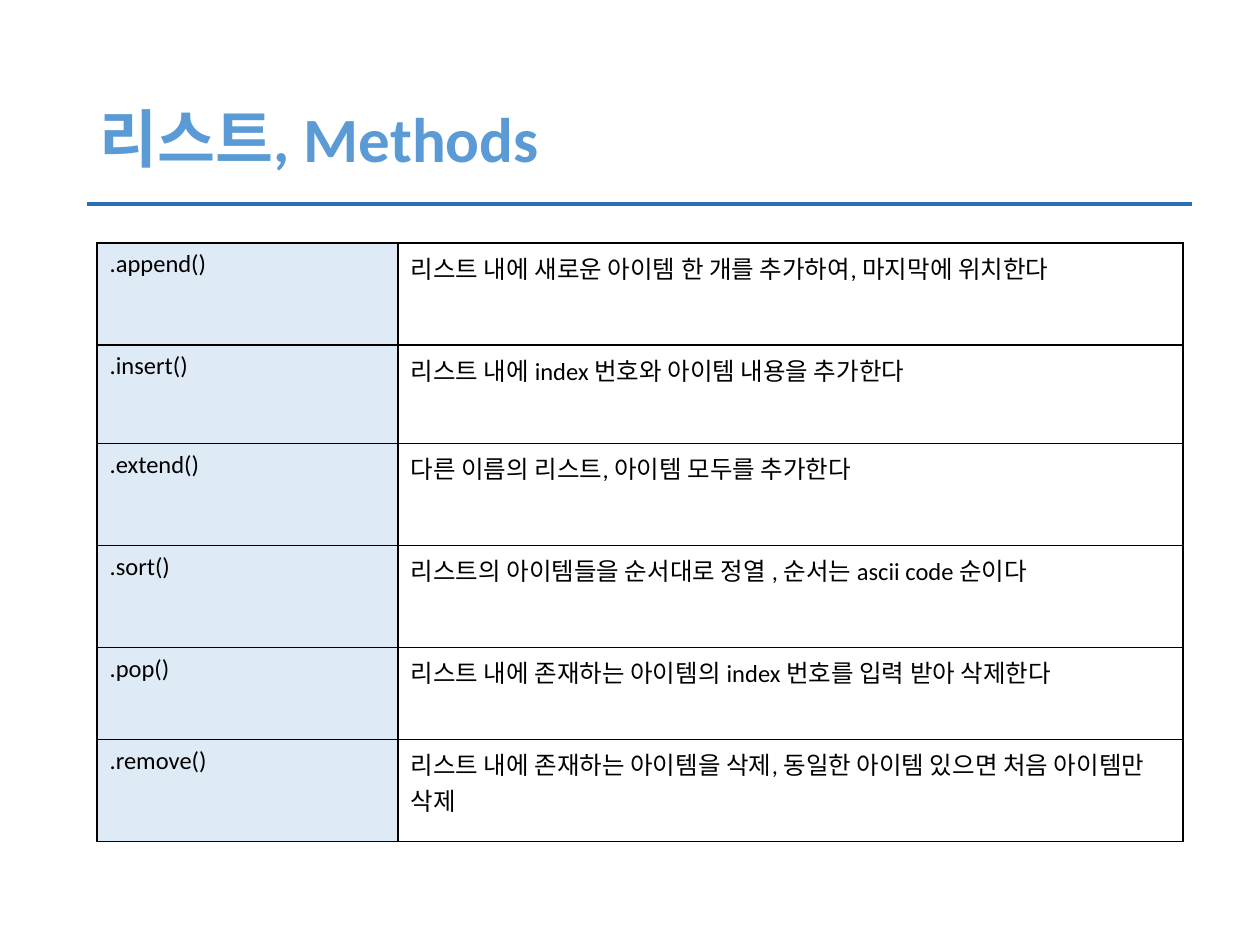
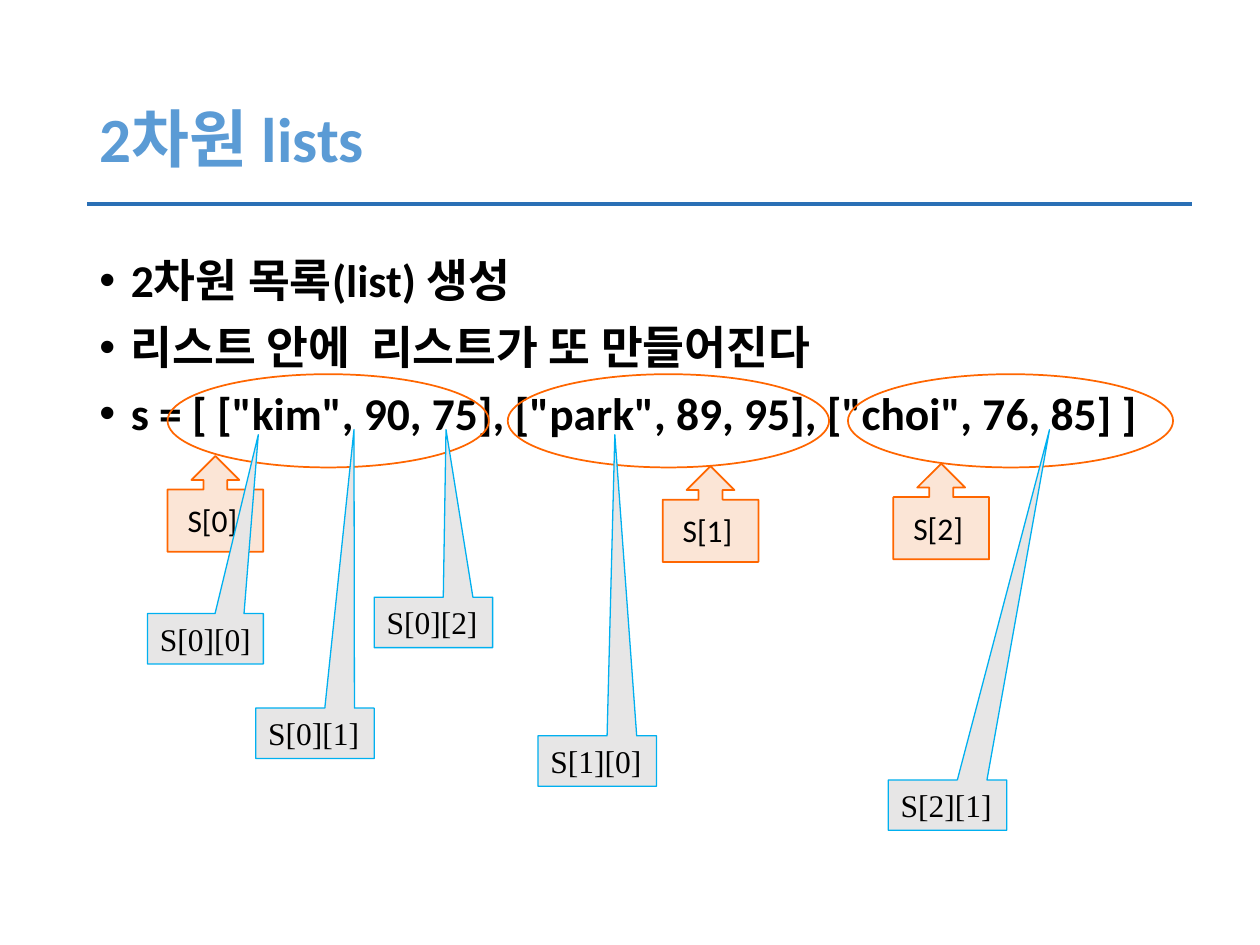
from lxml import etree
from pptx import Presentation
from pptx.dml.color import RGBColor
from pptx.enum.shapes import MSO_CONNECTOR, MSO_SHAPE
from pptx.enum.text import MSO_ANCHOR, MSO_AUTO_SIZE, PP_ALIGN
from pptx.oxml.ns import qn
from pptx.util import Inches, Pt

BLACK = RGBColor(0x00, 0x00, 0x00)
TITLE_BLUE = RGBColor(0x5B, 0x9B, 0xD5)
RULE_BLUE = RGBColor(0x2A, 0x6F, 0xB5)
PALE_BLUE = RGBColor(0xDE, 0xEB, 0xF7)
ORANGE = RGBColor(0xFF, 0x66, 0x00)
PEACH = RGBColor(0xFB, 0xE5, 0xD6)
GREY = RGBColor(0xE7, 0xE6, 0xE6)
SKY = RGBColor(0x00, 0xB0, 0xF0)

METHODS = [
    (".append()", "리스트 내에 새로운 아이템 한 개를 추가하여, 마지막에 위치한다", 0.81),
    (".insert()", "리스트 내에 index 번호와 아이템 내용을 추가한다", 0.78),
    (".extend()", "다른 이름의 리스트, 아이템 모두를 추가한다", 0.81),
    (".sort()", "리스트의 아이템들을 순서대로 정열 , 순서는 ascii code 순이다", 0.81),
    (".pop()", "리스트 내에 존재하는 아이템의 index 번호를 입력 받아 삭제한다", 0.73),
    (".remove()", "리스트 내에 존재하는 아이템을 삭제, 동일한 아이템 있으면 처음 아이템만 삭제", 0.81),
]
BULLETS = [
    "2차원 목록(list) 생성",
    "리스트 안에  리스트가 또 만들어진다",
    's = [ ["kim", 90, 75], ["park", 89, 95], ["choi", 76, 85] ]',
]
ROW_OVALS = [(1.33, 2.55), (4.03, 2.55), (6.73, 2.58)]
# label, left, top, fill behind the label
ROW_ARROWS = [
    ("S[0]", 1.33, 3.62, None),
    ("S[1]", 5.26, 3.70, PEACH),
    ("S[2]", 7.09, 3.68, None),
]
# label, left, top, width, point of the tip
ITEM_CALLOUTS = [
    ("S[0][0]", 1.17, 4.87, 0.92, (2.05, 3.45)),
    ("S[0][1]", 2.03, 5.62, 0.94, (2.81, 3.41)),
    ("S[0][2]", 2.97, 4.74, 0.94, (3.54, 3.41)),
    ("S[1][0]", 4.27, 5.84, 0.94, (4.88, 3.45)),
    ("S[2][1]", 7.05, 6.19, 0.94, (8.33, 3.41)),
]


def write(para, text, size=18, font="Calibri", color=BLACK, bold=False,
          line_spacing=None, space_before=None):
    para.alignment = PP_ALIGN.LEFT
    if line_spacing is not None:
        para.line_spacing = line_spacing
    if space_before is not None:
        para.space_before = Pt(space_before)
    span = para.add_run()
    span.text = text
    span.font.size = Pt(size)
    span.font.name = font
    span.font.color.rgb = color
    span.font.bold = bold


def add_bullet(para, indent):
    props = para._p.get_or_add_pPr()
    props.set("marL", str(indent))
    props.set("indent", str(-indent))
    etree.SubElement(props, qn("a:buFont"), typeface="Arial")
    etree.SubElement(props, qn("a:buChar"), char="•")


def add_borders(cell, width=Pt(1), color=BLACK):
    """Must run before the cell is filled, as borders come first in its XML."""
    props = cell._tc.get_or_add_tcPr()
    for side in ("a:lnL", "a:lnR", "a:lnT", "a:lnB"):
        border = etree.SubElement(props, qn(side), w=str(width))
        fill = etree.SubElement(border, qn("a:solidFill"))
        etree.SubElement(fill, qn("a:srgbClr"), val=str(color))


class SlideWriter:
    def __init__(self, deck):
        self.deck = deck
        self.page = None

    def start(self, title):
        """Add a page with the shared title and the rule below it."""
        self.page = self.deck.slides.add_slide(self.deck.slide_layouts[5])
        self.rule(9.46, 0.69, 1.62)
        box = self.page.shapes.title
        box.left, box.top = Inches(0.69), Inches(0.4)
        box.width, box.height = Inches(8.62), Inches(1.45)
        box.text_frame.vertical_anchor = MSO_ANCHOR.MIDDLE
        write(box.text_frame.paragraphs[0], title, size=36, color=TITLE_BLUE,
              bold=True, line_spacing=0.9)

    def rule(self, start, end, top):
        line = self.page.shapes.add_connector(
            MSO_CONNECTOR.STRAIGHT, Inches(start), Inches(top), Inches(end), Inches(top))
        line.line.color.rgb = RULE_BLUE
        line.line.width = Pt(2.25)
        etree.SubElement(line._element.spPr, qn("a:effectLst"))

    def table(self, rows, left, top, widths):
        heights = [height for *_, height in rows]
        table = self.page.shapes.add_table(
            len(rows), len(widths), Inches(left), Inches(top),
            Inches(sum(widths)), Inches(sum(heights))).table
        table.first_row = table.horz_banding = False
        for column, width in zip(table.columns, widths):
            column.width = Inches(width)
        for row, (name, meaning, height) in zip(table.rows, rows):
            row.height = Inches(height)
            for cell, text, fill in zip(row.cells, (name, meaning), (PALE_BLUE, None)):
                add_borders(cell)
                self.paint(cell.fill, fill)
                write(cell.text_frame.paragraphs[0], text, size=14)

    def bullets(self, texts, left, top, width, height):
        box = self.page.shapes.add_textbox(
            Inches(left), Inches(top), Inches(width), Inches(height))
        frame = box.text_frame
        frame.word_wrap = True
        for index, text in enumerate(texts):
            para = frame.add_paragraph() if index else frame.paragraphs[0]
            write(para, text, size=26, bold=True, line_spacing=0.9, space_before=10)
            add_bullet(para, Inches(0.25))

    def shape(self, kind, left, top, width, height, fill=None, line=None, weight=1):
        shape = self.page.shapes.add_shape(
            kind, Inches(left), Inches(top), Inches(width), Inches(height))
        shape.shadow.inherit = False
        self.paint(shape.fill, fill)
        self.paint(shape.line.fill, line)
        if line is not None:
            shape.line.width = Pt(weight)
        return shape

    def label(self, shape, text, wrap=True, **style):
        frame = shape.text_frame
        frame.word_wrap = wrap
        frame.auto_size = MSO_AUTO_SIZE.SHAPE_TO_FIT_TEXT
        frame.vertical_anchor = MSO_ANCHOR.TOP
        write(frame.paragraphs[0], text, **style)

    def row_arrow(self, text, left, top, label_fill, size=0.76):
        self.shape(MSO_SHAPE.UP_ARROW_CALLOUT, left, top, size, size, PEACH, ORANGE)
        box = self.shape(MSO_SHAPE.RECTANGLE, left + 0.06, top + 0.31, 0.64, 0.4, label_fill)
        self.label(box, text, wrap=False)

    def item_callout(self, text, left, top, width, tip, height=0.4):
        box = self.shape(MSO_SHAPE.RECTANGULAR_CALLOUT, left, top, width, height,
                         GREY, SKY, 0.75)
        box.adjustments[0] = (tip[0] - left) / width - 0.5
        box.adjustments[1] = (tip[1] - top) / height - 0.5
        self.label(box, text, font="Times New Roman")

    @staticmethod
    def paint(fill, color):
        if color is None:
            fill.background()
        else:
            fill.solid()
            fill.fore_color.rgb = color


def main():
    deck = Presentation()
    deck.slide_width, deck.slide_height = Inches(10), Inches(7.5)
    writer = SlideWriter(deck)

    writer.start("리스트, Methods")
    writer.table(METHODS, 0.77, 1.93, (2.39, 6.23))

    writer.start("2차원 lists")
    writer.bullets(BULLETS, 0.69, 2, 8.62, 4.76)
    for left, width in ROW_OVALS:
        writer.shape(MSO_SHAPE.OVAL, left, 2.97, width, 0.74, line=ORANGE)
    for arrow in ROW_ARROWS:
        writer.row_arrow(*arrow)
    for callout in ITEM_CALLOUTS:
        writer.item_callout(*callout)

    deck.save("out.pptx")


if __name__ == "__main__":
    main()
